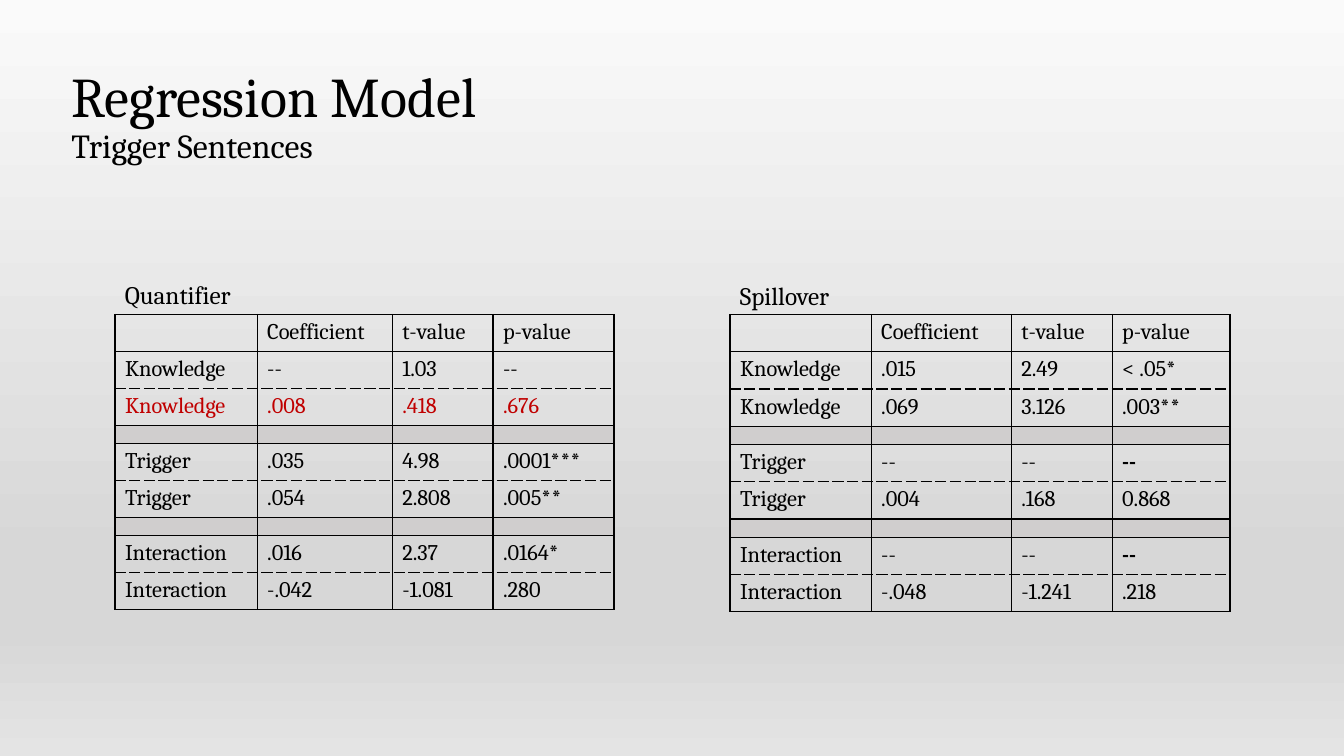
from pptx import Presentation, util as u
from pptx.dml import color as col
from pptx.enum import text as txt
from pptx.oxml import ns, xmlchemy as xc

INK, RED, GAP = "000000", "C00000", "D0CECE"
FONT = "Cambria"
HEAD = ["", "Coefficient", "t-value", "p-value"]


def rgb(code):
    return col.RGBColor.from_string(code)


def node(root, tag, **attrs):
    """Append a child element and return it."""
    item = xc.OxmlElement(tag)
    for key, value in attrs.items():
        item.set(key, str(value))
    root.append(item)
    return item


def write(para, words, size=16, color=INK, bold=False):
    """Add one run, or size the empty paragraph."""
    if not words:
        node(para._p, "a:endParaRPr", sz=size * 100)
        return
    run = para.add_run()
    run.text = words
    font = run.font
    font.name, font.size, font.bold = FONT, u.Pt(size), bold
    font.color.rgb = rgb(color)


def box(slide, left, top, width, height):
    frame = slide.shapes.add_textbox(
        *map(u.Inches, (left, top, width, height))).text_frame
    frame.word_wrap = True
    return frame


def paint(slide, stops):
    """Fill the background with a gradient from top to bottom."""
    fill = slide.background.fill
    fill.gradient()
    fill.gradient_angle = 270
    stack = slide.element.find(".//" + ns.qn("a:gsLst"))
    for old in list(stack):
        stack.remove(old)
    for place, code in stops:
        stop = node(stack, "a:gs", pos=place * 1000)
        node(stop, "a:srgbClr", val=code)


def title(slide, left, top, width, height):
    frame = box(slide, left, top, width, height)
    frame.vertical_anchor = txt.MSO_ANCHOR.MIDDLE
    para = frame.paragraphs[0]
    para.line_spacing = 0.9
    write(para, "Regression Model", size=40)
    para.add_line_break()
    write(para, "Trigger Sentences", size=24)


def edge(cell, dashed):
    """Draw the four borders, with those sides in dashed broken."""
    props = cell._tc.get_or_add_tcPr()
    for side in "LRTB":
        line = node(props, "a:ln" + side, w=u.Pt(1))
        node(node(line, "a:solidFill"), "a:srgbClr", val=INK)
        node(line, "a:prstDash", val="sysDash" if side in dashed else "solid")


def model(slide, left, top, name, drop, widths, tall, rows, reds=()):
    """Place a caption and its table; a None row is a thin grey band."""
    caption = box(slide, left, top - drop, 1.36, 0.4)
    write(caption.paragraphs[0], name, size=18)
    thin = 0.18
    highs = [tall if row else thin for row in rows]
    grid = slide.shapes.add_table(
        len(rows), len(widths),
        *map(u.Inches, (left, top, sum(widths), sum(highs)))).table
    grid.first_row = grid.horz_banding = False
    for column, width in zip(grid.columns, widths):
        column.width = u.Inches(width)
    for r, row in enumerate(rows):
        grid.rows[r].height = u.Inches(highs[r])
        # Each group is a pair of rows split by a dashed line.
        dashed = {1: "B", 2: "T"}.get(r % 3, "") if row else ""
        for c, words in enumerate(row or [""] * len(widths)):
            cell = grid.cell(r, c)
            edge(cell, dashed)
            para = cell.text_frame.paragraphs[0]
            if row:
                cell.fill.background()
                plain, _, strong = words.partition("|")
                tint = RED if r in reds else INK
                if plain or not strong:
                    write(para, plain, color=tint)
                if strong:
                    write(para, strong, color=tint, bold=True)
            else:
                cell.fill.solid()
                cell.fill.fore_color.rgb = rgb(GAP)
                cell.margin_top = cell.margin_bottom = 0
                write(para, "", size=4)


def main():
    deck = Presentation()
    deck.slide_width, deck.slide_height = u.Inches(13.33), u.Inches(7.5)
    slide = deck.slides.add_slide(deck.slide_layouts[6])
    paint(slide, [(0, "FAFAFA"), (74, "D7D7D7"), (83, "D7D7D7"),
                  (100, "E4E4E4")])
    title(slide, 0.61, 0.44, 11.5, 1.45)
    model(slide, 1.14, 3.12, "Quantifier", 0.4, [1.41, 1.34, 1, 1.2], 0.32, [
        HEAD,
        ["Knowledge", "--", "1.03", "--"],
        ["Knowledge", ".008", ".418", ".676"],
        None,
        ["Trigger", ".035", "4.98", ".0001|***"],
        ["Trigger", ".054", "2.808", ".005|**"],
        None,
        ["Interaction", ".016", "2.37", ".0164|*"],
        ["Interaction", "-.042", "-1.081", ".280"],
    ], reds=[2])
    model(slide, 7.24, 3.12, "Spillover", 0.39, [1.4, 1.39, 1, 1.17], 0.37, [
        HEAD,
        ["Knowledge", ".015", "2.49", "< .05*"],
        ["Knowledge", ".069", "3.126", ".003|**"],
        None,
        ["Trigger", "--", "--", "|--"],
        ["Trigger", ".004", ".168", "0.868"],
        None,
        ["Interaction", "--", "--", "|--"],
        ["Interaction", "-.048", "-1.241", ".218"],
    ])
    deck.save("out.pptx")


if __name__ == "__main__":
    main()
